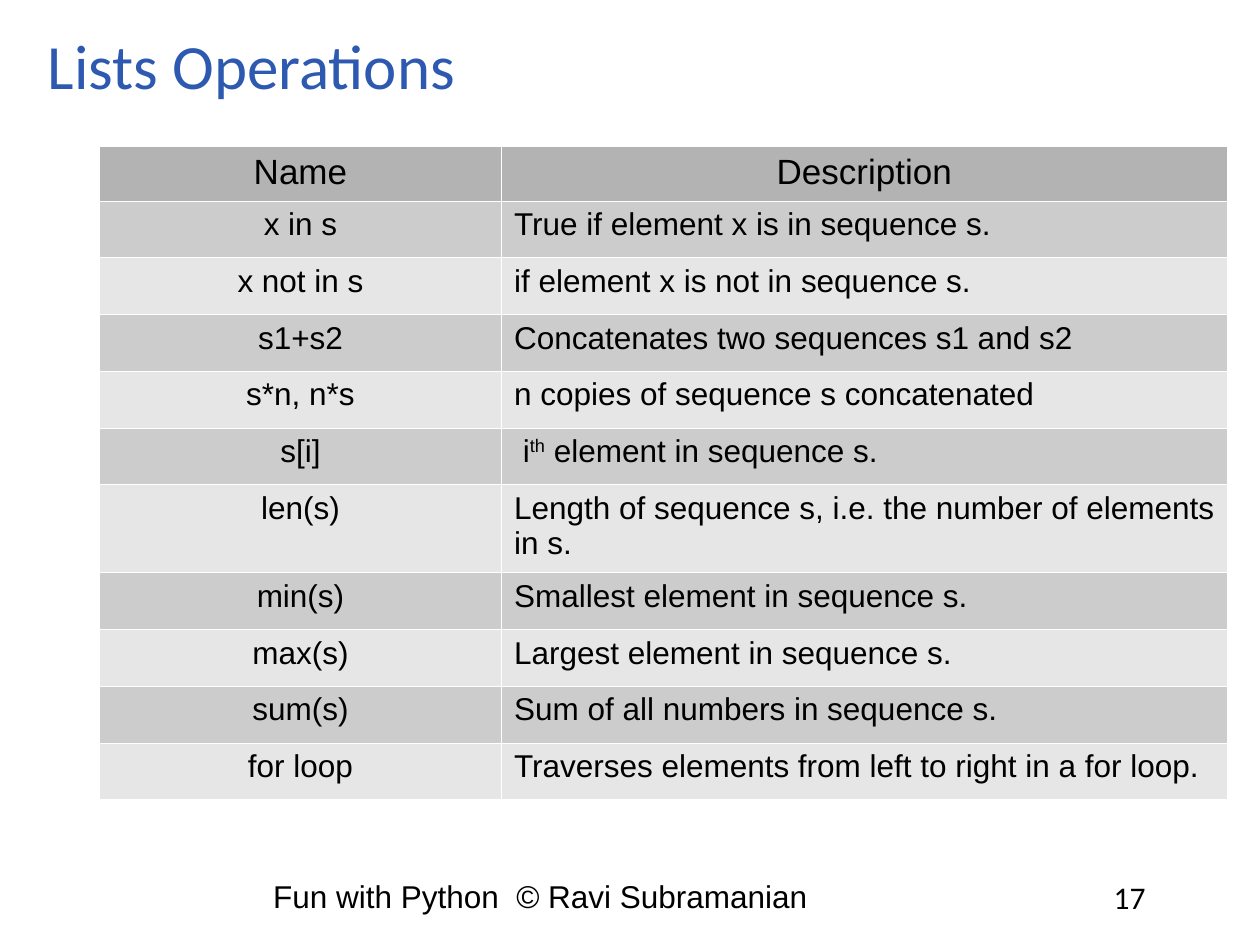
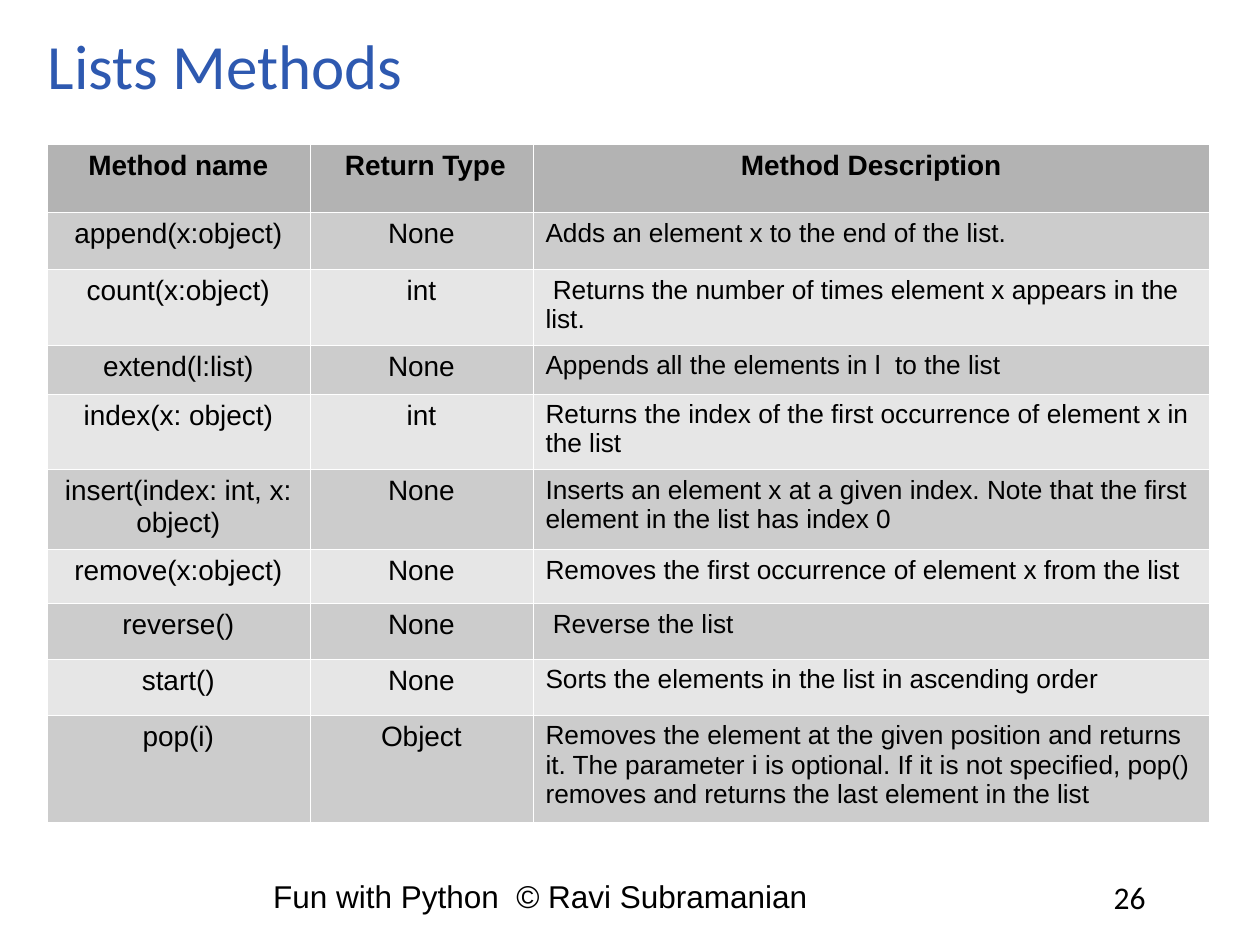
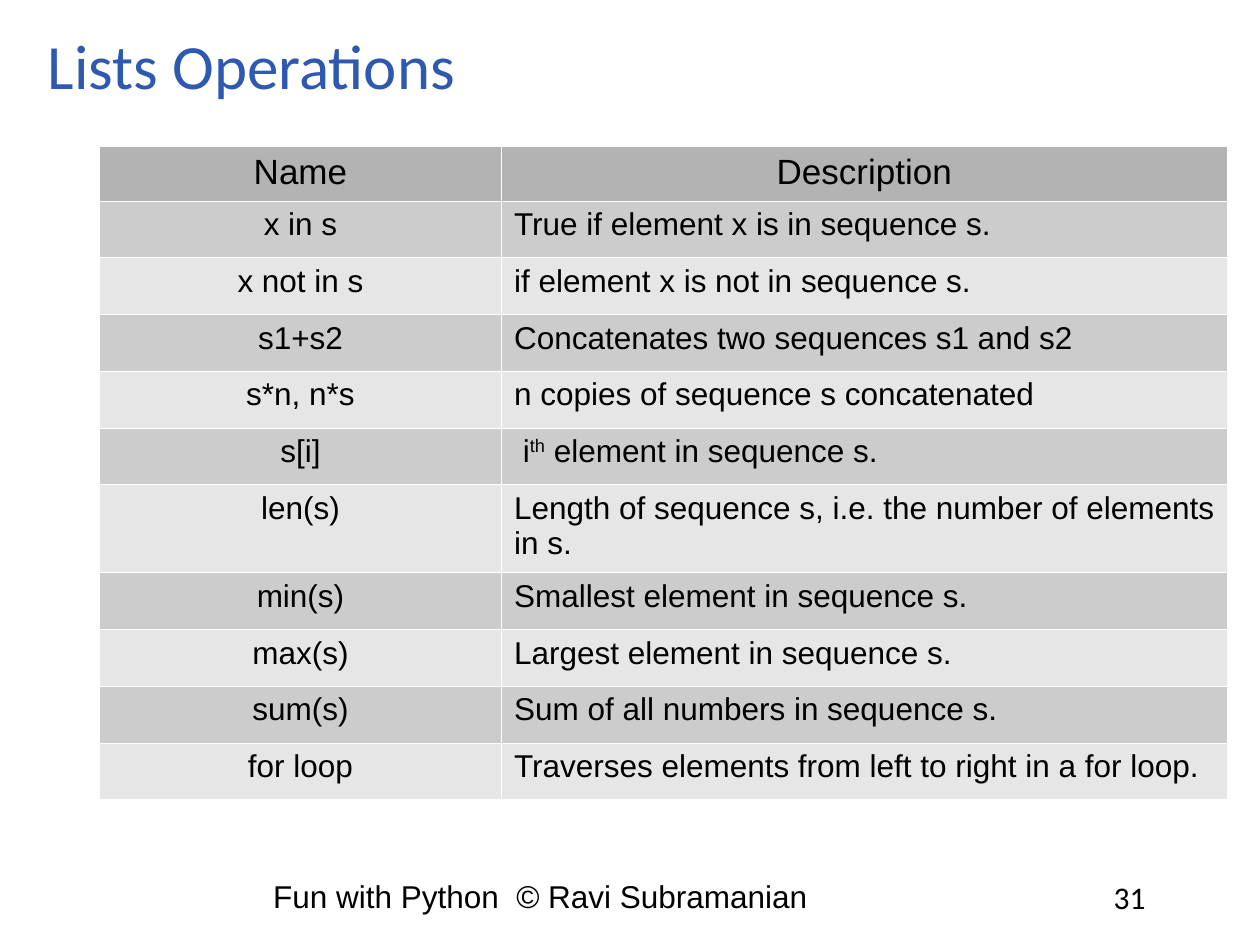
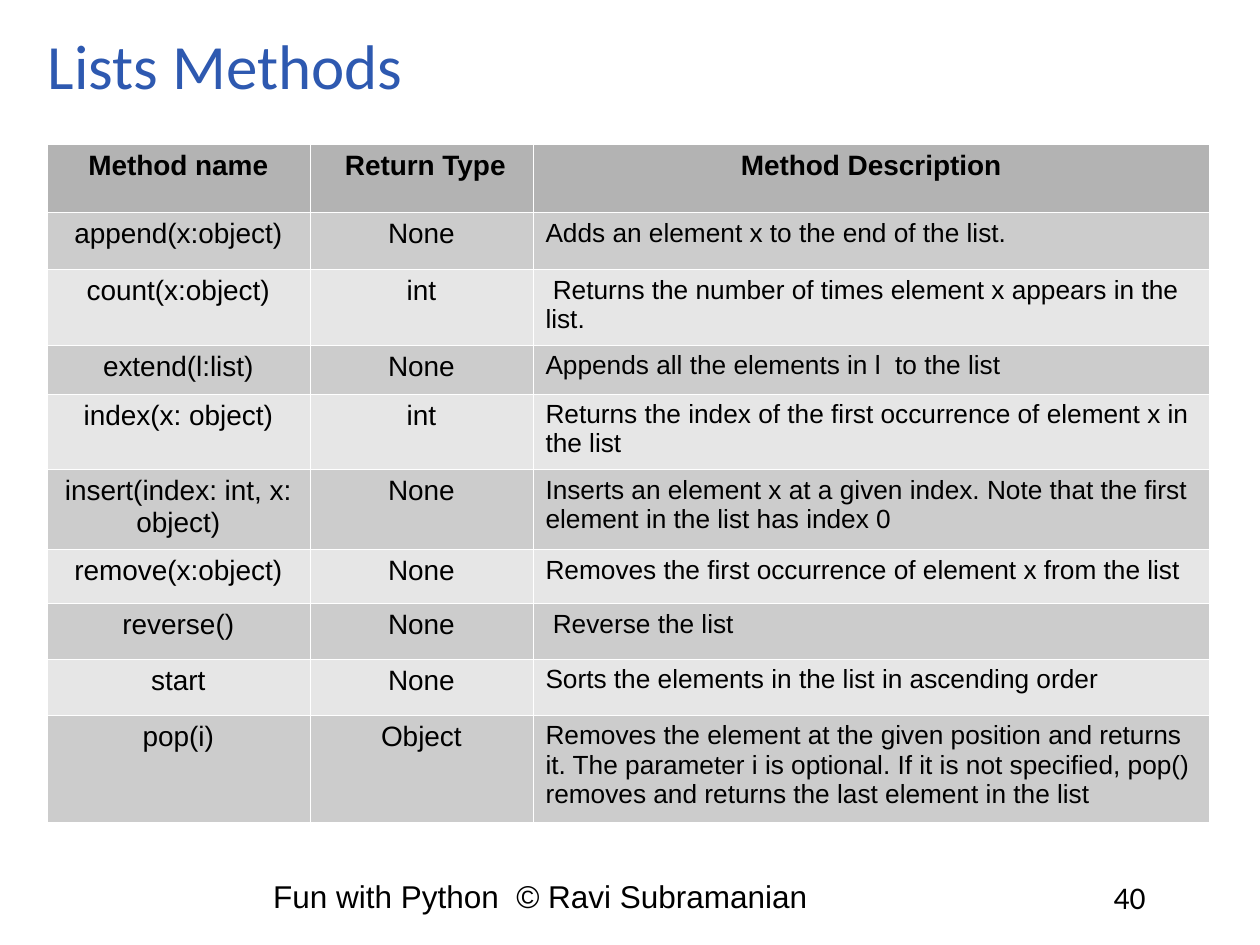
from dataclasses import dataclass

from lxml import etree
from pptx import Presentation
from pptx.dml.color import RGBColor
from pptx.enum.text import MSO_ANCHOR, PP_ALIGN
from pptx.oxml.ns import qn
from pptx.util import Inches, Pt

LEFT, CENTER = PP_ALIGN.LEFT, PP_ALIGN.CENTER
TOP = MSO_ANCHOR.TOP
BLANK_LAYOUT = 6

# The slide is a grid of 100 columns by 75 rows
SLIDE_WIDTH, SLIDE_HEIGHT = Inches(10), Inches(7.5)
COLUMNS, ROWS = 100, 75


@dataclass(frozen=True)
class Theme:
    ink: str = "000000"
    title: str = "2E59B0"
    header: str = "B3B3B3"
    bands: tuple = ("CCCCCC", "E6E6E6")
    border: str = "FFFFFF"
    border_width: float = 0.06
    title_font: str = "Calibri"
    body_font: str = "Arial"
    title_size: int = 36
    footer_size: int = 18


THEME = Theme()
FOOTER = "Fun with Python  © Ravi Subramanian"
INSETS = (1, 0.5, 1, 0.5)


@dataclass(frozen=True)
class TableStyle:
    """Place, grid and type of one kind of table."""
    left: float
    top: float
    widths: tuple
    heights: tuple
    header_size: int
    header_bold: bool
    sizes: tuple
    alignments: tuple


OPERATIONS_STYLE = TableStyle(
    left=7.9, top=11.6, widths=(31.9, 57.6),
    heights=(4.1, *[4.5] * 5, 6.6, *[4.5] * 4),
    header_size=20, header_bold=False,
    sizes=(18, 18), alignments=(CENTER, LEFT))

METHODS_STYLE = TableStyle(
    left=3.7, top=11.4, widths=(20.9, 17.7, 53.7),
    heights=(5.45, 4.5, 4.5, 3.9, 6, 6.3, 4.3, 4.4, 4.45, 8.5),
    header_size=16, header_bold=True,
    sizes=(16, 16, 15), alignments=(CENTER, CENTER, LEFT))

# Text between two ^ marks is raised
OPERATIONS = [
    ("Name", "Description"),
    ("x in s", "True if element x is in sequence s."),
    ("x not in s", "if element x is not in sequence s."),
    ("s1+s2", "Concatenates two sequences s1 and s2"),
    ("s*n, n*s", "n copies of sequence s concatenated"),
    ("s[i]", " i^th^ element in sequence s."),
    ("len(s)", "Length of sequence s, i.e. the number of elements in s."),
    ("min(s)", "Smallest element in sequence s."),
    ("max(s)", "Largest element in sequence s."),
    ("sum(s)", "Sum of all numbers in sequence s."),
    ("for loop", "Traverses elements from left to right in a for loop."),
]


def methods(sort_name):
    """Rows of the methods table, with the given name for the sorting method."""
    return [
        ("Method name", " Return Type", "Method Description"),
        ("append(x:object)", "None", "Adds an element x to the end of the list."),
        ("count(x:object)", "int",
         " Returns the number of times element x appears in the list."),
        ("extend(l:list)", "None", "Appends all the elements in l  to the list"),
        ("index(x: object)", "int",
         "Returns the index of the first occurrence of element x in the list"),
        ("insert(index: int, x: object)", "None",
         "Inserts an element x at a given index. "
         "Note that the first element in the list has index 0"),
        ("remove(x:object)", "None",
         "Removes the first occurrence of element x from the list"),
        ("reverse()", "None", " Reverse the list"),
        (sort_name, "None", "Sorts the elements in the list in ascending order"),
        ("pop(i)", "Object",
         "Removes the element at the given position and returns it. "
         "The parameter i is optional. If it is not specified, pop() "
         "removes and returns the last element in the list"),
    ]


# Grid and format helpers
def across(columns):
    return round(SLIDE_WIDTH * columns / COLUMNS)


def down(rows):
    return round(SLIDE_HEIGHT * rows / ROWS)


def set_attributes(target, values):
    for name, value in values.items():
        setattr(target, name, value)


def set_margins(target, insets):
    left, top, right, bottom = insets
    set_attributes(target, {
        "margin_left": across(left), "margin_top": down(top),
        "margin_right": across(right), "margin_bottom": down(bottom)})


def write(paragraph, text, font, size, color=THEME.ink, bold=False):
    """Fill a paragraph with runs; every second part is raised."""
    for index, part in enumerate(text.split("^")):
        run = paragraph.add_run()
        run.text = part
        set_attributes(run.font, {"name": font, "size": Pt(size), "bold": bold})
        run.font.color.rgb = RGBColor.from_string(color)
        if index % 2:
            run._r.get_or_add_rPr().set("baseline", "33000")


# Elements
def add_text(slide, box, text, font, size, color=THEME.ink,
             insets=INSETS, line_spacing=1.0):
    left, top, width, height = box
    shape = slide.shapes.add_textbox(
        across(left), down(top), across(width), down(height))
    frame = shape.text_frame
    set_attributes(frame, {"word_wrap": True, "vertical_anchor": TOP})
    set_margins(frame, insets)
    paragraph = frame.paragraphs[0]
    paragraph.line_spacing = line_spacing
    write(paragraph, text, font, size, color)


def add_borders(cell):
    properties = cell._tc.get_or_add_tcPr()
    for index, side in enumerate(("a:lnL", "a:lnR", "a:lnT", "a:lnB")):
        line = etree.Element(qn(side), w=str(Pt(THEME.border_width)))
        fill = etree.SubElement(line, qn("a:solidFill"))
        etree.SubElement(fill, qn("a:srgbClr"), val=THEME.border)
        properties.insert(index, line)


def fill_cell(cell, text, fill, size, bold, alignment):
    cell.fill.solid()
    cell.fill.fore_color.rgb = RGBColor.from_string(fill)
    add_borders(cell)
    set_margins(cell, INSETS)
    paragraph = cell.text_frame.paragraphs[0]
    paragraph.alignment = alignment
    write(paragraph, text, THEME.body_font, size, bold=bold)


def add_banded_table(slide, rows, style):
    table = slide.shapes.add_table(
        len(rows), len(style.widths), across(style.left), down(style.top),
        across(sum(style.widths)), down(sum(style.heights))).table
    set_attributes(table, {"first_row": False, "horz_banding": False})
    for column, width in zip(table.columns, style.widths):
        column.width = across(width)
    for row, height in zip(table.rows, style.heights):
        row.height = down(height)
    for row_index, texts in enumerate(rows):
        for column_index, text in enumerate(texts):
            cell = table.cell(row_index, column_index)
            if row_index == 0:
                fill_cell(cell, text, THEME.header, style.header_size,
                          style.header_bold, CENTER)
            else:
                fill_cell(cell, text, THEME.bands[(row_index - 1) % 2],
                          style.sizes[column_index], False,
                          style.alignments[column_index])


def add_table_slide(presentation, title, number, rows, style):
    slide = presentation.slides.add_slide(
        presentation.slide_layouts[BLANK_LAYOUT])
    # Footer
    add_text(slide, (87.4, 69.2, 12.3, 3.9), number,
             THEME.title_font, THEME.footer_size)
    add_text(slide, (20.7, 69.1, 56.4, 4), FOOTER,
             THEME.body_font, THEME.footer_size)
    # Title and content
    add_text(slide, (3.8, 0, 91.6, 14.5), title, THEME.title_font,
             THEME.title_size, THEME.title, (0, 2.75, 0, 0), 0.9)
    add_banded_table(slide, rows, style)


def main():
    presentation = Presentation()
    set_attributes(presentation, {
        "slide_width": SLIDE_WIDTH, "slide_height": SLIDE_HEIGHT})
    for title, number, rows, style in (
            ("Lists Operations", "17", OPERATIONS, OPERATIONS_STYLE),
            ("Lists Methods", "26", methods("start()"), METHODS_STYLE),
            ("Lists Operations", "31", OPERATIONS, OPERATIONS_STYLE),
            ("Lists Methods", "40", methods("start"), METHODS_STYLE)):
        add_table_slide(presentation, title, number, rows, style)
    presentation.save("out.pptx")


if __name__ == "__main__":
    main()
